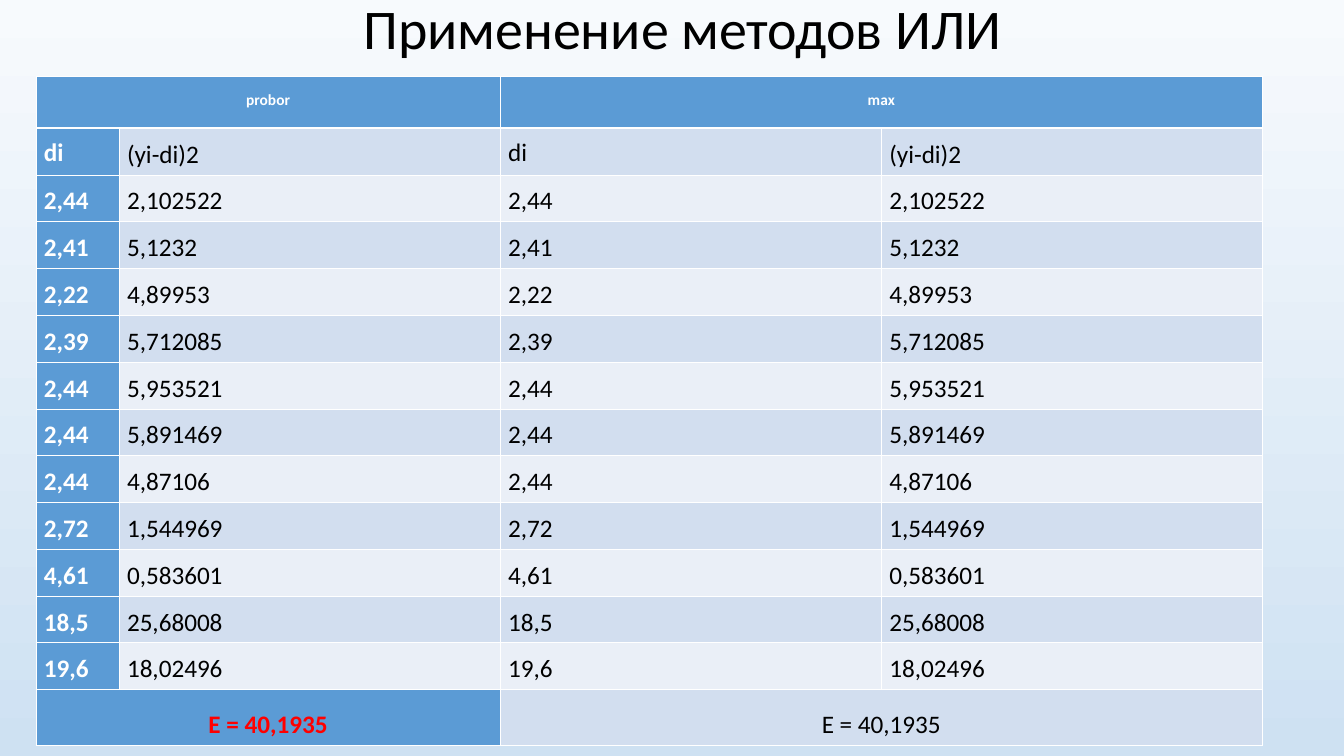
from lxml.etree import SubElement
from pptx import Presentation
from pptx.dml.color import RGBColor
from pptx.enum.text import MSO_ANCHOR as Anchor, PP_ALIGN as Align
from pptx.oxml.ns import qn
from pptx.util import Inches, Pt

EMU_PER_PX = 9080
WHITE, BLACK, RED = "FFFFFF", "000000", "FF0000"
ACCENT, DARK_BAND, LIGHT_BAND = "5B9BD5", "D2DEEF", "EAEFF7"
THIN, THICK = 0.45, 1.47


def px(length):
    return length * EMU_PER_PX


def rgb(color):
    return RGBColor.from_string(color)


class SlideBuilder:
    font = "Calibri"

    def __init__(self, slide):
        self.slide = slide

    def background(self, top_color, bottom_color):
        fill = self.slide.background.fill
        fill.gradient()
        fill.gradient_angle = 270
        for stop, color in zip(fill.gradient_stops, (top_color, bottom_color)):
            stop.color.rgb = rgb(color)

    def set_text(self, frame, text, size, color, bold=False, align=Align.LEFT, spacing=1.15):
        frame.text = text
        paragraph = frame.paragraphs[0]
        paragraph.alignment = align
        paragraph.line_spacing = spacing
        font = paragraph.runs[0].font
        font.name, font.size, font.bold = self.font, Pt(size), bold
        font.color.rgb = rgb(color)

    def title(self, text, left, top, width, height):
        frame = self.slide.shapes.add_textbox(px(left), px(top), px(width), px(height)).text_frame
        frame.word_wrap = True
        frame.vertical_anchor = Anchor.MIDDLE
        self.set_text(frame, text, 40, BLACK, align=Align.CENTER, spacing=0.9)

    def table(self, left, top, widths, heights):
        table = self.slide.shapes.add_table(
            len(heights), len(widths), px(left), px(top), px(sum(widths)), sum(heights)
        ).table
        for column, width in zip(table.columns, widths):
            column.width = px(width)
        for row, height in zip(table.rows, heights):
            row.height = height
        return table

    def cell(self, cell, fill, anchor=Anchor.BOTTOM, top_line=THIN, bottom_line=THIN):
        cell.margin_left = cell.margin_right = px(8)
        cell.margin_top = cell.margin_bottom = px(5)
        cell.vertical_anchor = anchor
        properties = cell._tc.get_or_add_tcPr()
        for side, width in zip("LRTB", (THIN, THIN, top_line, bottom_line)):
            line = SubElement(properties, qn(f"a:ln{side}"), w=str(int(Pt(width))))
            SubElement(SubElement(line, qn("a:solidFill")), qn("a:srgbClr"), val=WHITE)
        cell.fill.solid()
        cell.fill.fore_color.rgb = rgb(fill)


def main():
    deck = Presentation()
    deck.slide_width, deck.slide_height = Inches(13.34), Inches(7.5)
    builder = SlideBuilder(deck.slides.add_slide(deck.slide_layouts[6]))
    builder.background("F7FAFD", "CEE1F2")
    builder.title("Применение методов ИЛИ", 103, 9, 1158, 45)

    estimates = [
        ("di", "(yi-di)2"),
        ("2,44", "2,102522"),
        ("2,41", "5,1232"),
        ("2,22", "4,89953"),
        ("2,39", "5,712085"),
        ("2,44", "5,953521"),
        ("2,44", "5,891469"),
        ("2,44", "4,87106"),
        ("2,72", "1,544969"),
        ("4,61", "0,583601"),
        ("18,5", "25,68008"),
        ("19,6", "18,02496"),
    ]
    body_height = px(561) // len(estimates)
    heights = [px(52)] + [body_height] * len(estimates) + [px(52)]
    table = builder.table(36, 76, [83, 381, 381, 381], heights)
    total_row = len(heights) - 1

    for row, pair in enumerate(estimates, 1):
        band = DARK_BAND if row % 2 else LIGHT_BAND
        for column, value in enumerate(pair * 2):
            cell = table.cell(row, column)
            is_label = column == 0
            is_top = row == 1 and column % 2 == 0
            builder.cell(
                cell,
                ACCENT if is_label else band,
                Anchor.TOP if is_top else Anchor.BOTTOM,
                top_line=THICK if row == 1 else THIN,
            )
            builder.set_text(cell.text_frame, value, 18, WHITE if is_label else BLACK, is_label)

    methods = [("probor", ACCENT, RED, True), ("max", DARK_BAND, BLACK, False)]
    for index, (method, total_fill, total_color, total_bold) in enumerate(methods):
        first, last = index * 2, index * 2 + 1
        for column in (first, last):
            builder.cell(table.cell(0, column), ACCENT, Anchor.TOP, bottom_line=THICK)
            builder.cell(table.cell(total_row, column), total_fill)
        for row, text, size, color, bold in (
            (0, method, 11, WHITE, True),
            (total_row, "E = 40,1935", 18, total_color, total_bold),
        ):
            cell = table.cell(row, first)
            cell.merge(table.cell(row, last))
            builder.set_text(cell.text_frame, text, size, color, bold, Align.CENTER, 1.5)

    deck.save("out.pptx")


if __name__ == "__main__":
    main()
